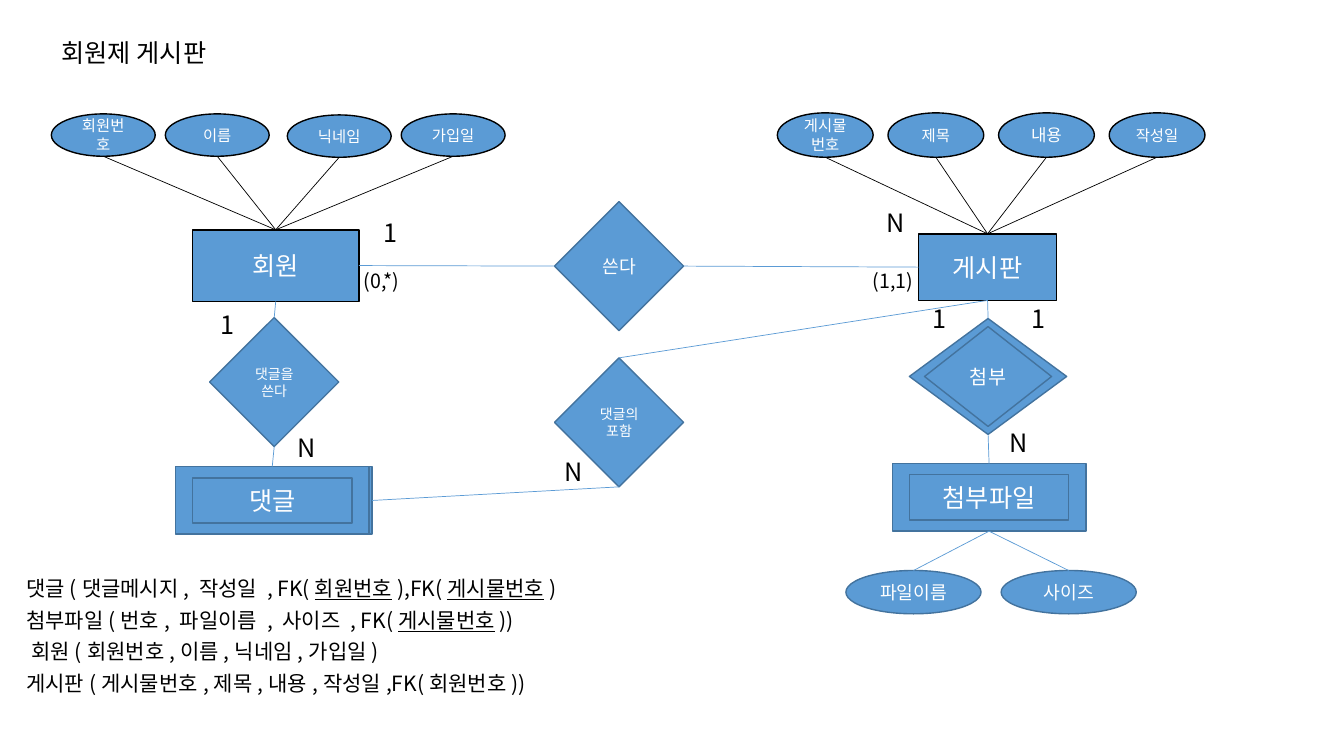
from dataclasses import dataclass

import pptx
import pptx.dml.color
import pptx.enum.shapes
import pptx.enum.text
import pptx.oxml.ns
import pptx.util
from lxml import etree

# Lengths are in columns and rows of a square grid with cells of 0.1 inch.
CELL = 0.1
FONT = "Noto Sans CJK KR"
BLUE, EDGE, BLACK, WHITE = "5B9BD5", "43739E", "000000", "FFFFFF"
TOP, LEFT, BOTTOM, RIGHT = range(4)
RECTANGLE = pptx.enum.shapes.MSO_SHAPE.RECTANGLE
ELLIPSE = pptx.enum.shapes.MSO_SHAPE.OVAL
DIAMOND = pptx.enum.shapes.MSO_SHAPE.DIAMOND


@dataclass(frozen=True)
class Node:
    """An entity, relationship or attribute; an inset makes its outline double."""
    kind: int
    column: float
    row: float
    width: float
    height: float
    text: str = ""
    size: float = 18
    line: str = EDGE
    inset: tuple = ()

    def site(self, side: int) -> tuple:
        """Return the middle of one side."""
        shares = {TOP: (0.5, 0), LEFT: (0, 0.5), BOTTOM: (0.5, 1), RIGHT: (1, 0.5)}
        across, down = shares[side]
        return grid(self.column + across * self.width), grid(self.row + down * self.height)


@dataclass(frozen=True)
class Link:
    """A line between the sides of two nodes."""
    start: Node
    start_side: int
    end: Node
    end_side: int
    colour: str = BLUE


@dataclass(frozen=True)
class Label:
    """A cardinality beside a line."""
    text: str
    column: float
    row: float
    width: float = 3.8
    height: float = 4
    size: float = 18


def grid(cells: float) -> int:
    """Turn grid cells into a slide length."""
    return pptx.util.Inches(cells * CELL)


def colour(value: str) -> pptx.dml.color.RGBColor:
    """Turn a hex string into a colour."""
    return pptx.dml.color.RGBColor.from_string(value)


def place(shape, column: float, row: float, width: float, height: float) -> None:
    """Move a shape to its place on the grid."""
    shape.left, shape.top = grid(column), grid(row)
    shape.width, shape.height = grid(width), grid(height)


def format_paragraph(paragraph, size: float, value: str, alignment=pptx.enum.text.PP_ALIGN.LEFT) -> None:
    """Format all runs of a paragraph, East Asian font included."""
    paragraph.alignment = alignment
    for run in paragraph.runs:
        run.font.size = pptx.util.Pt(size)
        run.font.name = FONT
        run.font.color.rgb = colour(value)
        east_asian = etree.Element(pptx.oxml.ns.qn("a:ea"), typeface=FONT)
        run.font._element.find(pptx.oxml.ns.qn("a:latin")).addnext(east_asian)


def prepare_frame(text_frame) -> None:
    """Let text wrap from the top of a fixed box."""
    text_frame.word_wrap = True
    text_frame.auto_size = pptx.enum.text.MSO_AUTO_SIZE.NONE
    text_frame.vertical_anchor = pptx.enum.text.MSO_ANCHOR.TOP


def draw_outline(slide, node: Node, inset: tuple = (0, 0)):
    """Draw one outline of a node."""
    across, down = inset
    shape = slide.shapes.add_shape(
        node.kind, grid(node.column + across), grid(node.row + down),
        grid(node.width - 2 * across), grid(node.height - 2 * down))
    shape.shadow.inherit = False
    shape.fill.solid()
    shape.fill.fore_color.rgb = colour(BLUE)
    shape.line.color.rgb = colour(node.line)
    shape.line.width = pptx.util.Pt(1)
    return shape


def draw_node(slide, node: Node):
    """Draw a node with its text and return its outer shape."""
    outer = draw_outline(slide, node)
    inner = draw_outline(slide, node, node.inset) if node.inset else outer
    if node.text:
        inner.text_frame.text = node.text
        inner.text_frame.word_wrap = True
        inner.text_frame.vertical_anchor = pptx.enum.text.MSO_ANCHOR.MIDDLE
        format_paragraph(inner.text_frame.paragraphs[0], node.size, WHITE,
                         pptx.enum.text.PP_ALIGN.CENTER)
    return outer


def draw_link(slide, link: Link, shapes: dict) -> None:
    """Draw a line, glued to its nodes where the sides are numbered alike."""
    connector = slide.shapes.add_connector(
        pptx.enum.shapes.MSO_CONNECTOR.STRAIGHT,
        *link.start.site(link.start_side), *link.end.site(link.end_side))
    if link.start.kind != ELLIPSE or link.start_side == TOP:
        connector.begin_connect(shapes[link.start], link.start_side)
    connector.end_connect(shapes[link.end], link.end_side)
    connector.line.color.rgb = colour(link.colour)
    connector.line.width = pptx.util.Pt(0.5)
    etree.SubElement(connector._element.spPr, pptx.oxml.ns.qn("a:effectLst"))


def draw_label(slide, label: Label) -> None:
    """Draw a cardinality label."""
    box = slide.shapes.add_textbox(grid(label.column), grid(label.row),
                                   grid(label.width), grid(label.height))
    prepare_frame(box.text_frame)
    box.text_frame.margin_right = 0
    box.text_frame.text = label.text
    format_paragraph(box.text_frame.paragraphs[0], label.size, BLACK)


def write_schemas(body, schemas: list) -> None:
    """Write one schema a line; every second part of a schema is underlined."""
    prepare_frame(body.text_frame)
    for index, (indent, parts) in enumerate(schemas):
        paragraph = body.text_frame.paragraphs[0] if index == 0 else body.text_frame.add_paragraph()
        for number, part in enumerate(parts):
            run = paragraph.add_run()
            run.text = part
            run.font.underline = number % 2 == 1
        format_paragraph(paragraph, 15, BLACK)
        paragraph.space_before = pptx.util.Pt(0)
        paragraph.space_after = pptx.util.Pt(4.5)
        properties = paragraph._p.get_or_add_pPr()
        properties.set("marL", str(grid(indent)))
        properties.set("indent", "0")
        etree.SubElement(properties, pptx.oxml.ns.qn("a:buNone"))


member = Node(RECTANGLE, 19.1, 22.8, 16.5, 7.1, "회원", line=BLACK)
board = Node(RECTANGLE, 91.1, 23.2, 13.7, 6.6, "게시판", line=BLACK)
file = Node(RECTANGLE, 88.5, 46, 19.2, 6.7, "첨부파일", inset=(1.7, 1.1))
comment_back = Node(RECTANGLE, 17.7, 46.3, 19.2, 6.7)
comment = Node(RECTANGLE, 17.4, 46.3, 19.2, 6.7, "댓글", inset=(1.7, 1.1))
writes = Node(DIAMOND, 55, 20, 12.8, 12.8, "쓴다", 13)
contains = Node(DIAMOND, 55, 35.5, 12.8, 12.8, "댓글의포함", 10)
writes_comment = Node(DIAMOND, 20.8, 31.5, 12.8, 12.8, "댓글을 쓴다", 10)
attaches = Node(DIAMOND, 90.2, 31.6, 15.6, 11.5, "첨부", 14, inset=(1.5, 0.8))
member_attributes = [Node(ELLIPSE, column, row, 10.3, 4.2, text, 11, BLACK) for text, column, row in (
    ("회원번호", 5.1, 11.3), ("이름", 16.4, 11.3), ("닉네임", 28.5, 11.4), ("가입일", 39.8, 11.3))]
board_attributes = [Node(ELLIPSE, 77.1 + 10.97 * index, 11.2, 9.5, 4.4, text, size, BLACK)
                    for index, (text, size) in enumerate(
                        (("게시물번호", 11), ("제목", 11), ("내용", 12), ("작성일", 11)))]
file_attributes = [Node(ELLIPSE, 83.9 + 15.4 * index, 56.6, 13.4, 4.3, text, 13)
                   for index, text in enumerate(("파일이름", "사이즈"))]
nodes = [file, member, *member_attributes, board, *board_attributes, writes, attaches,
         *file_attributes, comment_back, contains, comment, writes_comment]
links = [Link(attribute, BOTTOM, entity, TOP, BLACK)
         for entity, attributes in ((member, member_attributes), (board, board_attributes))
         for attribute in attributes]
links += [Link(attribute, TOP, file, BOTTOM) for attribute in file_attributes]
links += [Link(member, RIGHT, writes, LEFT), Link(writes, RIGHT, board, LEFT),
          Link(attaches, TOP, board, BOTTOM), Link(attaches, BOTTOM, file, TOP),
          Link(member, BOTTOM, writes_comment, TOP), Link(writes_comment, BOTTOM, comment, TOP),
          Link(contains, BOTTOM, comment_back, RIGHT), Link(board, BOTTOM, contains, TOP)]
labels = [Label("N", 86.9, 20.1), Label("1", 37.1, 21.1),
          Label("(1,1)", 85.6, 26.2, 6, 3.4, 14), Label("(0,*)", 35.1, 26.2, 6, 3.4, 14),
          Label("1", 101.3, 29.6), Label("N", 99.1, 41.9), Label("1", 20.9, 30.2),
          Label("N", 28.5, 42.4), Label("N", 55, 44.8), Label("1", 91.5, 29.6)]
schemas = [(0, ("댓글(댓글메시지, 작성일 , FK(", "회원번호", "),FK(", "게시물번호", ")")),
           (0, ("첨부파일(번호, 파일이름 , 사이즈 , FK(", "게시물번호", "))")),
           (0.5, ("회원(회원번호,이름,닉네임,가입일)",)),
           (0, ("게시판(게시물번호,제목,내용,작성일,FK(회원번호))",))]

presentation = pptx.Presentation()
presentation.slide_width, presentation.slide_height = grid(133.3), grid(75)
slide = presentation.slides.add_slide(presentation.slide_layouts[1])
title, body = slide.placeholders
place(title, 5.1, 3.2, 20.2, 4)
prepare_frame(title.text_frame)
title.text_frame.text = "회원제 게시판"
format_paragraph(title.text_frame.paragraphs[0], 18, BLACK)
place(body, 1.6, 56.6, 67.8, 14.4)
write_schemas(body, schemas)
node_shapes = {node: draw_node(slide, node) for node in nodes}
for link in links:
    draw_link(slide, link, node_shapes)
for label in labels:
    draw_label(slide, label)
presentation.save("out.pptx")
